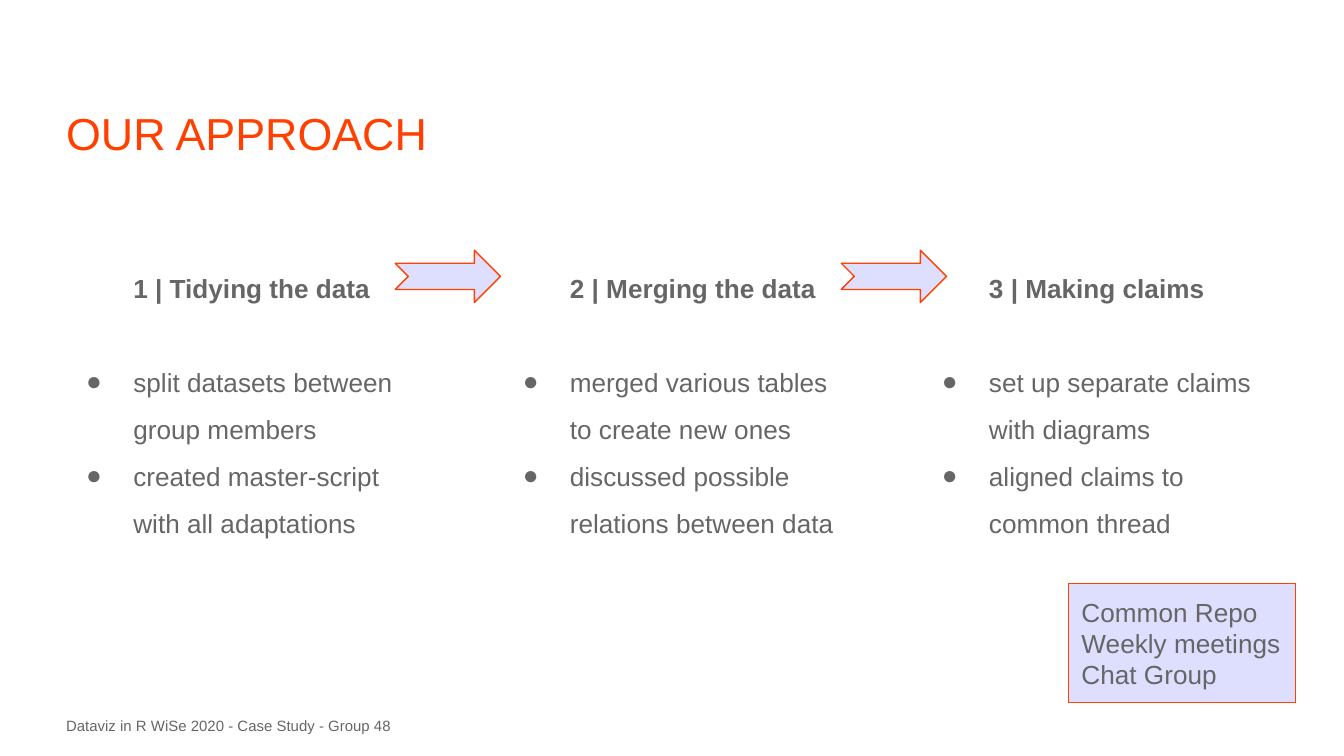
from lxml.etree import SubElement
from pptx import Presentation
from pptx.dml.color import RGBColor
from pptx.enum.shapes import MSO_SHAPE
from pptx.enum.text import MSO_ANCHOR, MSO_AUTO_SIZE, PP_ALIGN
from pptx.oxml.ns import qn
from pptx.util import Cm, Pt

COLORS = {"accent": "FF4000", "text": "666666", "tint": "0000FF"}
FONT = "Arial"
INSET = Cm(0.25)
STEPS = [
    ("1 | Tidying the data",
     ["split datasets between group members",
      "created master-script with all adaptations"]),
    ("2 | Merging the data",
     ["merged various tables to create new ones",
      "discussed possible relations between data"]),
    ("3 | Making claims",
     ["set up separate claims with diagrams",
      "aligned claims to common thread"]),
]
NOTES = ["Common Repo", "Weekly meetings", "Chat Group"]


def rgb(name):
    """Return the named palette colour."""
    return RGBColor.from_string(COLORS[name])


def place(sp, box):
    """Move a shape to a box of left, top, width and height in cm."""
    sp.left, sp.top, sp.width, sp.height = (Cm(v) for v in box)


def frame(sp, anchor=MSO_ANCHOR.TOP):
    """Prepare and return the text frame of a shape."""
    tf = sp.text_frame
    tf.word_wrap = True
    tf.auto_size = MSO_AUTO_SIZE.NONE
    tf.vertical_anchor = anchor
    tf.margin_left = tf.margin_right = INSET
    tf.margin_top = tf.margin_bottom = INSET
    return tf


def write(tf, text, size, color="text", bold=False, spacing=1.0):
    """Write text in the first empty paragraph or a new one."""
    p = tf.paragraphs[0] if not tf.text else tf.add_paragraph()
    p.alignment = PP_ALIGN.LEFT
    p.line_spacing = spacing
    p.space_before = p.space_after = Pt(0)
    r = p.add_run()
    r.text = text
    r.font.name, r.font.size, r.font.bold = FONT, Pt(size), bold
    r.font.color.rgb = rgb(color)
    return p


def indent(p, left, first, bullet=None):
    """Set the indents in cm and the bullet of a paragraph."""
    pr = p._p.get_or_add_pPr()
    pr.set("marL", str(Cm(left)))
    pr.set("indent", str(Cm(first)))
    if bullet:
        clr = SubElement(pr, qn("a:buClr"))
        SubElement(clr, qn("a:srgbClr"), val=COLORS["text"])
        SubElement(pr, qn("a:buFont"), typeface=FONT)
        SubElement(pr, qn("a:buChar"), char=bullet)
    else:
        SubElement(pr, qn("a:buNone"))


def add_tinted(s, kind, box):
    """Add an outlined shape with a translucent fill."""
    sp = s.shapes.add_shape(kind, *(Cm(v) for v in box))
    sp.shadow.inherit = False
    sp.fill.solid()
    sp.fill.fore_color.rgb = rgb("tint")
    clr = sp.fill._xPr.find(qn("a:solidFill")).find(qn("a:srgbClr"))
    SubElement(clr, qn("a:alpha"), val="13000")
    sp.line.color.rgb = rgb("accent")
    sp.line.width = Pt(0.75)
    return sp


def fill_title(sp, box):
    """Place and write the slide title."""
    place(sp, box)
    write(frame(sp), "OUR APPROACH", 24, "accent")


def fill_step(sp, box, heading, items):
    """Place one step with its heading and bulleted items."""
    place(sp, box)
    tf = frame(sp)
    p = write(tf, heading, 14, bold=True, spacing=1.5)
    indent(p, 0, 1.27)
    for i, item in enumerate(items):
        p = write(tf, item, 14, spacing=1.5)
        p.space_before = Pt(0 if i else 25)
        indent(p, 1.27, -0.89, "●")


def add_notes(s, box):
    """Add the box that lists the tools of teamwork."""
    tf = frame(add_tinted(s, MSO_SHAPE.RECTANGLE, box), MSO_ANCHOR.MIDDLE)
    for note in NOTES:
        write(tf, note, 14)


def add_footer(s, box):
    """Add the course line at the bottom."""
    sp = s.shapes.add_textbox(*(Cm(v) for v in box))
    write(frame(sp), "Dataviz in R WiSe 2020 - Case Study - Group 48", 8)


def main():
    """Build and save the slide."""
    prs = Presentation()
    prs.slide_width, prs.slide_height = Cm(25.4), Cm(14.29)
    s = prs.slides.add_slide(prs.slide_layouts.get_by_name("Comparison"))
    title, *bodies = s.placeholders
    fill_title(title, (1, 1.75, 23.5, 1.48))
    for sp, left, step in zip(bodies, (1, 9.25, 17.17), STEPS):
        fill_step(sp, (left, 4.6, 6.88, 6.02), *step)
    for sp in bodies[len(STEPS):]:
        sp.element.getparent().remove(sp.element)
    for left in (7.47, 15.9):
        add_tinted(s, MSO_SHAPE.NOTCHED_RIGHT_ARROW, (left, 4.73, 1.99, 0.99))
    add_notes(s, (20.19, 11.03, 4.3, 2.25))
    add_footer(s, (1, 13.29, 24.4, 1))
    prs.save("out.pptx")


if __name__ == "__main__":
    main()
